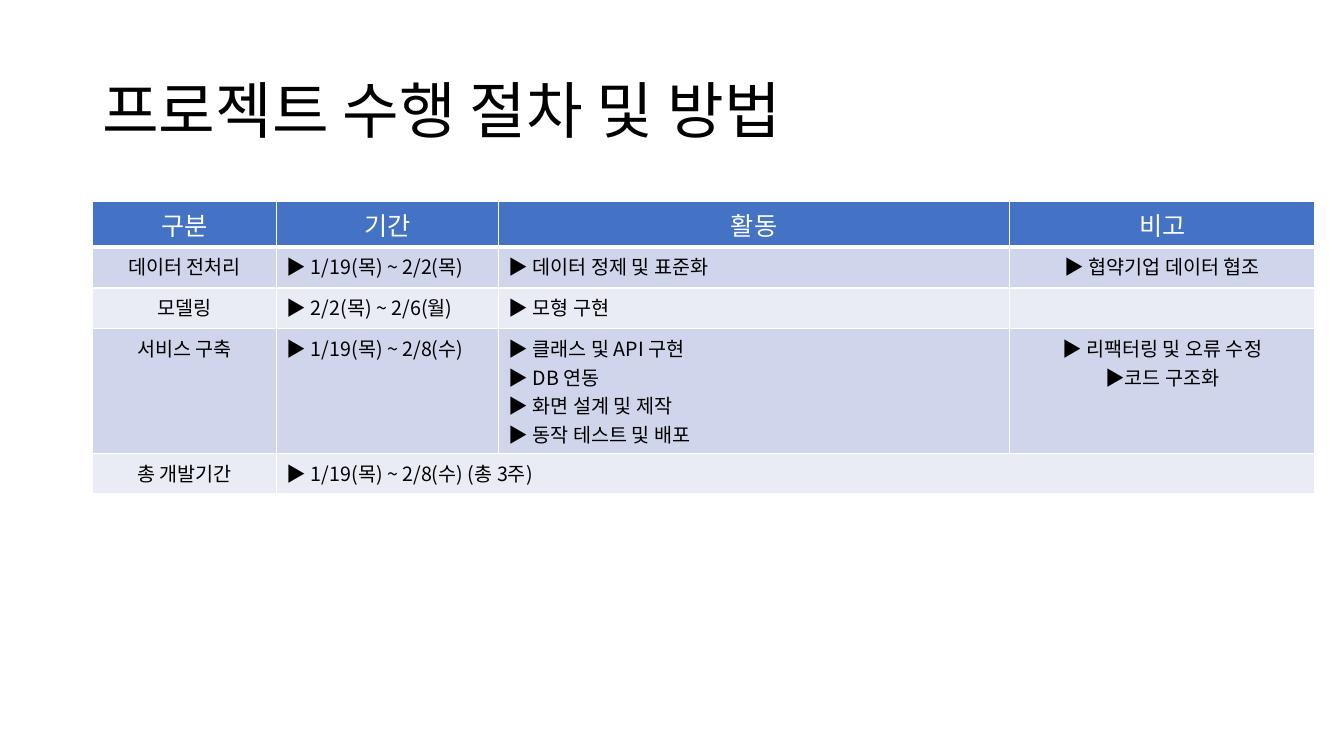
from lxml import etree
from pptx import Presentation
from pptx.dml.color import RGBColor
from pptx.enum.text import MSO_ANCHOR, PP_ALIGN
from pptx.oxml.ns import qn
from pptx.util import Pt

MIDDLE = MSO_ANCHOR.MIDDLE
CENTER, LEFT = PP_ALIGN.CENTER, PP_ALIGN.LEFT
FONT = "Noto Sans CJK KR"
COLORS = {"head": "4472C4", "odd": "CFD5EA", "even": "E9EBF5",
          "text": "000000", "white": "FFFFFF"}

TITLE = "프로젝트 수행 절차 및 방법"
ROWS = [
    ["구분", "기간", "활동", "비고"],
    ["데이터 전처리", "▶ 1/19(목) ~ 2/2(목)", "▶ 데이터 정제 및 표준화",
     "▶ 협약기업 데이터 협조"],
    ["모델링", "▶ 2/2(목) ~ 2/6(월)", "▶ 모형 구현", ""],
    ["서비스 구축", "▶ 1/19(목) ~ 2/8(수)",
     "▶ 클래스 및 API 구현\n▶ DB 연동\n▶ 화면 설계 및 제작\n▶ 동작 테스트 및 배포",
     "▶ 리팩터링 및 오류 수정\n▶코드 구조화"],
    ["총 개발기간", "▶ 1/19(목) ~ 2/8(수) (총 3주)", "", ""],
]
WIDTHS = [131.8, 158.4, 365, 218.2]
HEIGHTS = [32.5, 29.2, 29.2, 88.8, 29.2]
ALIGNS = [CENTER, LEFT, LEFT, CENTER]
EDGE = 66


def style(para, size, color, align):
    para.alignment = align
    para.font.size = Pt(size)
    for run in para.runs:
        font = run.font
        font.size, font.name, font.bold = Pt(size), FONT, False
        font.color.rgb = RGBColor.from_string(COLORS[color])
        east = etree.SubElement(run._r.get_or_add_rPr(), qn("a:ea"))
        east.set("typeface", FONT)


def border(cell, top, bottom):
    props = cell._tc.get_or_add_tcPr()
    sides = [("L", 1), ("R", 1), ("T", top), ("B", bottom)]
    for spot, (side, width) in enumerate(sides):
        line = etree.Element(qn("a:ln" + side), w=str(Pt(width)))
        fill = etree.SubElement(line, qn("a:solidFill"))
        etree.SubElement(fill, qn("a:srgbClr"), val=COLORS["white"])
        props.insert(spot, line)


deck = Presentation()
deck.slide_width, deck.slide_height = Pt(960), Pt(540)
slide = deck.slides.add_slide(deck.slide_layouts[6])

box = slide.shapes.add_textbox(Pt(EDGE), Pt(28.75), Pt(828), Pt(104.4))
frame = box.text_frame
frame.word_wrap = True
frame.vertical_anchor = MIDDLE
frame.text = TITLE
frame.paragraphs[0].line_spacing = 0.9
style(frame.paragraphs[0], 44, "text", LEFT)

table = slide.shapes.add_table(
    len(ROWS), len(WIDTHS), Pt(EDGE), Pt(144),
    Pt(sum(WIDTHS)), Pt(sum(HEIGHTS))).table
for col, width in zip(table.columns, WIDTHS):
    col.width = Pt(width)
for row, height in zip(table.rows, HEIGHTS):
    row.height = Pt(height)
for r, texts in enumerate(ROWS):
    head = r == 0
    shade = "head" if head else "odd" if r % 2 else "even"
    for c, text in enumerate(texts):
        cell = table.cell(r, c)
        cell.text = text
        cell.fill.solid()
        cell.fill.fore_color.rgb = RGBColor.from_string(COLORS[shade])
        border(cell, 3 if r == 1 else 1, 3 if head else 1)
        for para in cell.text_frame.paragraphs:
            style(para, 18 if head else 14, "white" if head else "text",
                  CENTER if head else ALIGNS[c])
last = len(ROWS) - 1
table.cell(last, 1).merge(table.cell(last, 3))

deck.save("out.pptx")
